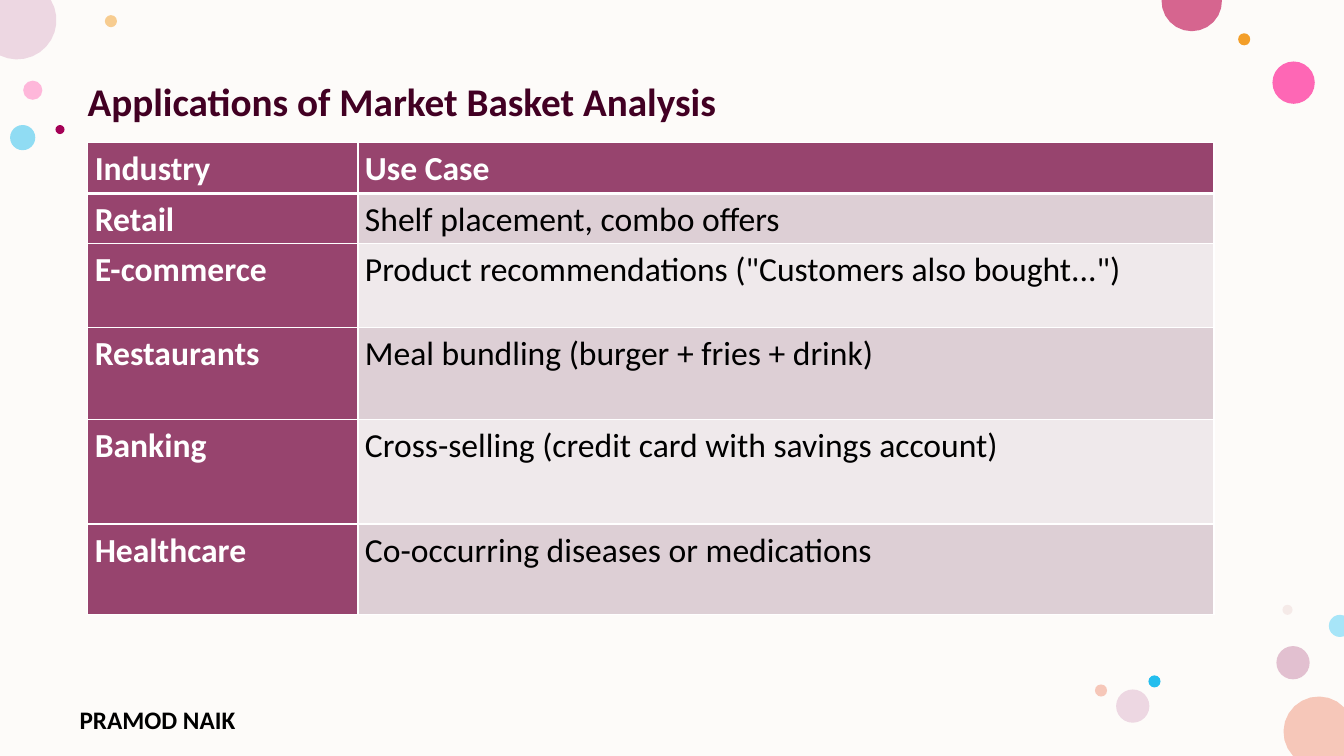
"""Build the slide on applications of market basket analysis."""
import math

from lxml import etree
from pptx import Presentation
from pptx import util as u
from pptx.dml.color import RGBColor
from pptx.enum import shapes
from pptx.oxml import ns

WIDTH, HEIGHT = 13.33, 7.5
ARC_STEPS = 12
FONT = "Calibri"
CREAM = RGBColor(0xFD, 0xFB, 0xF9)
WHITE = RGBColor(0xFF, 0xFF, 0xFF)
BLACK = RGBColor(0x00, 0x00, 0x00)
DARK_PLUM = RGBColor(0x42, 0x00, 0x23)
PLUM = RGBColor(0x97, 0x44, 0x6E)
BAND_DARK = RGBColor(0xDD, 0xCF, 0xD5)
BAND_LIGHT = RGBColor(0xEF, 0xE9, 0xEB)
PINK = RGBColor(0xFF, 0x75, 0xBD)
HOT_PINK = RGBColor(0xFF, 0x2F, 0x9C)
ROSE = RGBColor(0xD6, 0x65, 0x8F)
CRIMSON = RGBColor(0xA4, 0x00, 0x56)
ORANGE = RGBColor(0xF3, 0x9E, 0x29)
MAUVE = RGBColor(0xC9, 0x87, 0xA8)
LILAC = RGBColor(0xED, 0xD7, 0xE2)
BLUSH = RGBColor(0xE3, 0xBE, 0xBE)
PEACH = RGBColor(0xF6, 0xC7, 0xB9)
BLUE = RGBColor(0x24, 0xBE, 0xEE)
PALE_BLUE = RGBColor(0xA7, 0xE5, 0xF8)


def paint(shape, color, opacity=100):
    shape.shadow.inherit = False
    shape.line.fill.background()
    shape.fill.solid()
    shape.fill.fore_color.rgb = color
    if opacity < 100:
        srgb = shape.fill._xPr.find(".//" + ns.qn("a:srgbClr"))
        etree.SubElement(srgb, ns.qn("a:alpha")).set("val", str(opacity * 1000))


def write(text_frame, wording, size, color, bold, spacing):
    text_frame.text = wording
    text_frame.word_wrap = True
    paragraph = text_frame.paragraphs[0]
    paragraph.line_spacing = spacing
    font = paragraph.runs[0].font
    font.name, font.size, font.bold = FONT, u.Pt(size), bold
    font.color.rgb = color


presentation = Presentation()
presentation.slide_width = u.Inches(WIDTH)
presentation.slide_height = u.Inches(HEIGHT)
slide = presentation.slides.add_slide(presentation.slide_layouts[6])

backdrop = slide.shapes.add_shape(
    shapes.MSO_SHAPE.RECTANGLE, 0, 0, u.Inches(WIDTH), u.Inches(HEIGHT))
paint(backdrop, CREAM)

dots = [
    (0.23, 0.8, 0.19, PINK, 50),
    (1.04, 0.15, 0.12, ORANGE, 50),
    (12.66, 6.41, 0.33, MAUVE, 50),
    (0.1, 1.24, 0.25, BLUE, 50),
    (12.62, 0.61, 0.42, HOT_PINK, 72),
    (12.28, 0.33, 0.12, ORANGE, 100),
    (12.72, 6, 0.1, BLUSH, 28),
    (11.39, 6.7, 0.12, BLUE, 100),
    (11.07, 6.84, 0.33, LILAC, 100),
    (10.86, 6.79, 0.12, PEACH, 100),
    (0.55, 1.24, 0.09, CRIMSON, 100),
]
for left, top, diameter, color, opacity in dots:
    dot = slide.shapes.add_shape(
        shapes.MSO_SHAPE.OVAL, u.Inches(left), u.Inches(top),
        u.Inches(diameter), u.Inches(diameter))
    paint(dot, color, opacity)

edge_circles = [
    (13.08, 7.26, 0.35, 137, 316, [(WIDTH, HEIGHT)], PEACH),
    (0.17, 0.2, 0.39, -31, 116, [(0, 0)], LILAC),
    (11.82, 0.01, 0.3, -2, 182, [], ROSE),
    (13.29, 6.21, 0.11, 69, 291, [], PALE_BLUE),
]
for center_x, center_y, radius, start, end, corners, color in edge_circles:
    outline = list(corners)
    for step in range(ARC_STEPS + 1):
        angle = math.radians(start + (end - start) * step / ARC_STEPS)
        x = min(max(center_x + radius * math.cos(angle), 0), WIDTH)
        y = min(max(center_y + radius * math.sin(angle), 0), HEIGHT)
        outline.append((x, y))
    points = [(u.Inches(x), u.Inches(y)) for x, y in outline]
    builder = slide.shapes.build_freeform(*points[0])
    builder.add_line_segments(points[1:], close=True)
    paint(builder.convert_to_shape(), color)

text_boxes = [
    (0.69, 6.94, 2.45, 0.32, "PRAMOD NAIK", 18, BLACK, 1.0),
    (0.77, 0.77, 11.92, 6, "Applications of Market Basket Analysis", 28, DARK_PLUM, 0.9),
]
for left, top, width, height, wording, size, color, spacing in text_boxes:
    box = slide.shapes.add_textbox(
        u.Inches(left), u.Inches(top), u.Inches(width), u.Inches(height))
    write(box.text_frame, wording, size, color, True, spacing)

use_cases = [
    ("Industry", "Use Case", 0.51),
    ("Retail", "Shelf placement, combo offers", 0.5),
    ("E-commerce", 'Product recommendations ("Customers also bought...")', 0.83),
    ("Restaurants", "Meal bundling (burger + fries + drink)", 0.91),
    ("Banking", "Cross-selling (credit card with savings account)", 1.04),
    ("Healthcare", "Co-occurring diseases or medications", 0.9),
]
table = slide.shapes.add_table(
    len(use_cases), 2, u.Inches(0.87), u.Inches(1.41),
    u.Inches(11.17), u.Inches(4.69)).table
table.columns[0].width = u.Inches(2.68)
table.columns[1].width = u.Inches(8.49)

for row, (industry, use_case, height) in enumerate(use_cases):
    table.rows[row].height = u.Inches(height)
    for column, wording in enumerate((industry, use_case)):
        cell = table.cell(row, column)
        cell.margin_left = cell.margin_right = u.Inches(0.07)
        cell.margin_top = cell.margin_bottom = 0
        heading = row == 0 or column == 0
        write(cell.text_frame, wording, 24, WHITE if heading else BLACK, heading, 1.15)
        properties = cell._tc.get_or_add_tcPr()
        for side in ("lnL", "lnR", "lnT", "lnB"):
            thick = (row, side) in ((0, "lnB"), (1, "lnT"))
            border = etree.SubElement(properties, ns.qn("a:" + side))
            border.set("w", str(u.Pt(3 if thick else 1)))
            fill = etree.SubElement(border, ns.qn("a:solidFill"))
            etree.SubElement(fill, ns.qn("a:srgbClr")).set("val", str(WHITE))
        band = BAND_DARK if row % 2 else BAND_LIGHT
        cell.fill.solid()
        cell.fill.fore_color.rgb = PLUM if heading else band

presentation.save("out.pptx")
